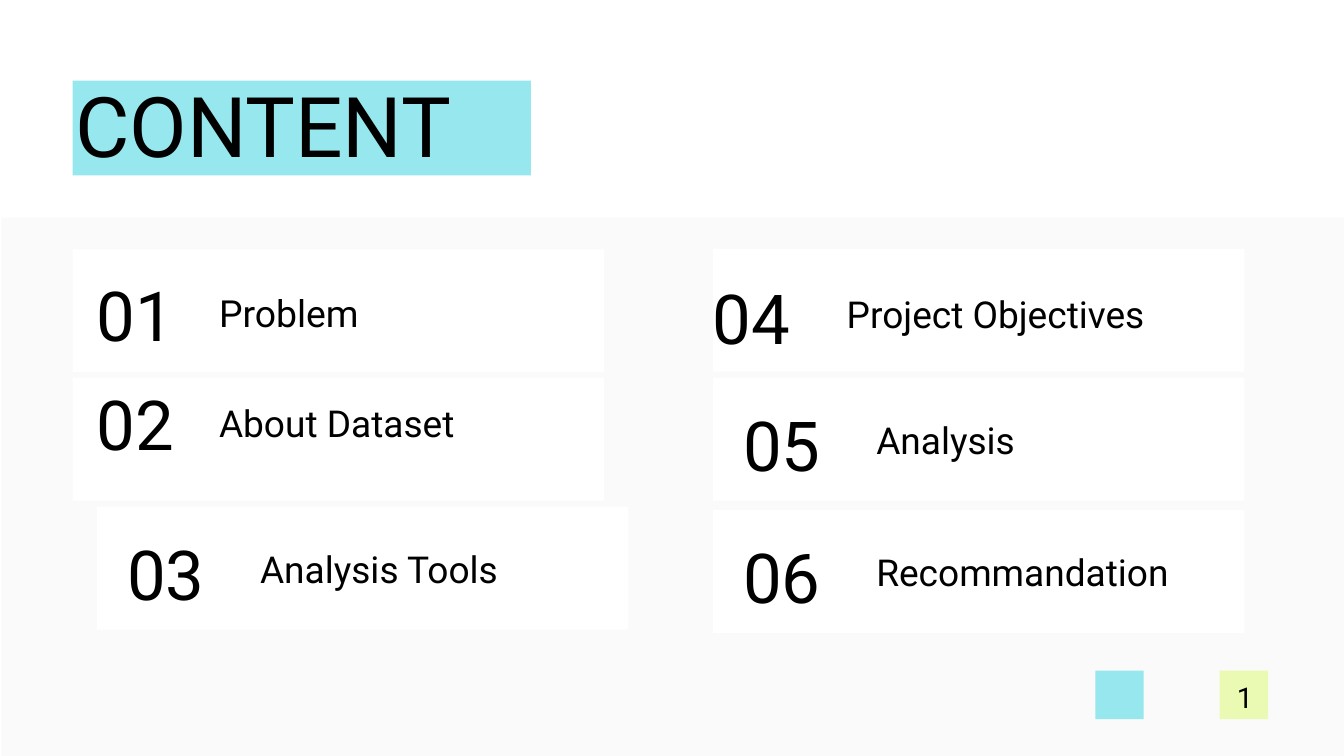
import pptx
import pptx.dml.color
import pptx.enum.shapes
import pptx.enum.text
import pptx.util

Inches = pptx.util.Inches
Pt = pptx.util.Pt
RGBColor = pptx.dml.color.RGBColor
Align = pptx.enum.text.PP_ALIGN

BLACK = RGBColor(0x00, 0x00, 0x00)
WHITE = RGBColor(0xFF, 0xFF, 0xFF)
GREY = RGBColor(0xFA, 0xFA, 0xFA)
CYAN = RGBColor(0x96, 0xE8, 0xEE)
LIME = RGBColor(0xEA, 0xFA, 0xB2)


class Deck:
    """Draw the blocks, texts and cards of a contents slide in one style."""

    font = "Roboto"

    def __init__(self, slide):
        self.slide = slide

    def block(self, x, y, w, h, fill):
        kind = pptx.enum.shapes.MSO_SHAPE.RECTANGLE
        shape = self.slide.shapes.add_shape(
            kind, Inches(x), Inches(y), Inches(w), Inches(h))
        shape.shadow.inherit = False
        shape.fill.solid()
        shape.fill.fore_color.rgb = fill
        shape.line.fill.background()

    def text(self, words, x, y, w, h, size, lead, align=Align.LEFT):
        box = self.slide.shapes.add_textbox(
            Inches(x), Inches(y), Inches(w), Inches(h))
        frame = box.text_frame
        frame.word_wrap = True
        frame.auto_size = pptx.enum.text.MSO_AUTO_SIZE.SHAPE_TO_FIT_TEXT
        frame.margin_left = frame.margin_right = 0
        frame.margin_top = frame.margin_bottom = 0
        para = frame.paragraphs[0]
        para.text = words
        para.alignment = align
        para.line_spacing = Pt(lead)
        para.font.name = self.font
        para.font.size = Pt(size)
        para.font.color.rgb = BLACK

    def card(self, label, number, left, top, num_at, label_at, size=39.7):
        self.block(left, top, 7.91, 1.83, WHITE)
        self.text(f"{number:02}", *num_at, 1.48, 1.34, 73.8, 103.4)
        self.text(label, *label_at, 5.2, 0.72, size, size * 1.4)


def main():
    prs = pptx.Presentation()
    prs.slide_width = Inches(20)
    prs.slide_height = Inches(11.25)
    deck = Deck(prs.slides.add_slide(prs.slide_layouts[6]))

    deck.block(1.08, 1.2, 6.82, 1.41, CYAN)
    deck.block(0.02, 3.24, 19.98, 8.01, GREY)
    deck.text("CONTENT", 1.12, 1.25, 9.88, 1.38, 89.6, 96.7)

    deck.card("Problem", 1, 1.08, 3.71, (1.44, 3.85), (3.26, 4.2), 40)
    deck.card("About Dataset", 2, 1.08, 5.62, (1.44, 5.47), (3.26, 5.85))
    deck.card("Analysis Tools", 3, 1.44, 7.54, (1.89, 7.7), (3.87, 8.02))
    deck.card("Project Objectives", 4, 10.61, 3.7, (10.61, 3.9), (12.6, 4.22))
    deck.card("Analysis", 5, 10.61, 5.62, (11.06, 5.78), (13.04, 6.1))
    deck.card("Recommandation", 6, 10.61, 7.59, (11.06, 7.75), (13.04, 8.06))

    for left, fill in ((16.3, CYAN), (18.15, LIME)):
        deck.block(left, 9.98, 0.72, 0.72, fill)
    deck.text("1", 18.17, 10.03, 0.71, 0.57, 30.7, 43, Align.CENTER)

    prs.save("out.pptx")


if __name__ == "__main__":
    main()
